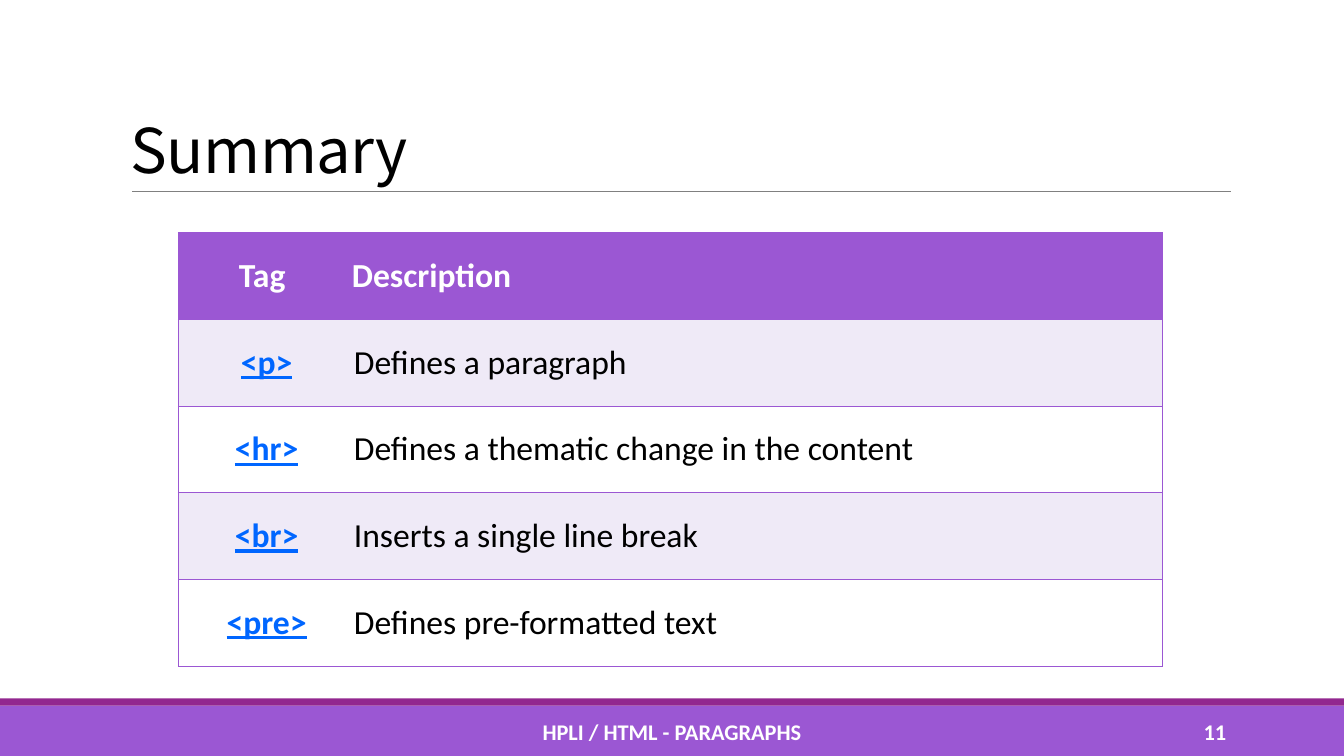
import pptx
import pptx.dml.color
import pptx.enum.shapes
import pptx.enum.text
import pptx.oxml.ns
import pptx.util
from lxml import etree

Inches, Pt = pptx.util.Inches, pptx.util.Pt
ALIGN = pptx.enum.text.PP_ALIGN
ANCHOR = pptx.enum.text.MSO_ANCHOR

TITLE = "Summary"
HEADER = ("Tag", "Description")
TAGS = [
    ("<p>", "Defines a paragraph"),
    ("<hr>", "Defines a thematic change in the content"),
    ("<br>", "Inserts a single line break"),
    ("<pre>", "Defines pre-formatted text"),
]
FOOTER = "HPLI / HTML - PARAGRAPHS"
PAGE = "11"

COLORS = {
    "purple": "9B57D3", "plum": "92278F", "lilac": "EFEAF7", "white": "FFFFFF",
    "black": "000000", "link": "0066FF", "gray": "808080",
}
BODY_FONT, TITLE_FONT = "Calibri", "Noto Sans CJK SC"
WIDTH, HEIGHT = 13.33, 7.5
BAR_HEIGHT, STRIPE_HEIGHT = 0.5, 0.07
TABLE_LEFT, TABLE_TOP = 1.77, 2.31
COLUMN_WIDTHS, ROW_HEIGHT = (1.66, 8.1), 0.86
HEADER_MARGINS = (0.06, 0.04, 0.06, 0.04)
TAG_MARGINS = (0.17, 0.08, 0.08, 0.08)
DESCRIPTION_MARGINS = (0.08,) * 4


def rgb(name):
    return pptx.dml.color.RGBColor.from_string(COLORS[name])


def write(frame, text, size, color, align=ALIGN.LEFT, font=BODY_FONT, bold=False):
    paragraph = frame.paragraphs[0]
    paragraph.text = text
    paragraph.alignment = align
    paragraph.font.name = font
    paragraph.font.size = Pt(size)
    paragraph.font.bold = bold
    paragraph.font.color.rgb = rgb(color)
    return paragraph


def add_text(slide, box, anchor, *args, **style):
    shape = slide.shapes.add_textbox(*map(Inches, box))
    shape.text_frame.word_wrap = True
    shape.text_frame.vertical_anchor = anchor
    return write(shape.text_frame, *args, **style)


def add_band(slide, top, height, color):
    band = slide.shapes.add_shape(
        pptx.enum.shapes.MSO_SHAPE.RECTANGLE,
        0, Inches(top), Inches(WIDTH), Inches(height))
    band.shadow.inherit = False
    band.fill.solid()
    band.fill.fore_color.rgb = rgb(color)
    band.line.fill.background()


def add_rule(slide, left, right, top):
    rule = slide.shapes.add_connector(
        pptx.enum.shapes.MSO_CONNECTOR.STRAIGHT,
        Inches(left), Inches(top), Inches(right), Inches(top))
    rule.line.color.rgb = rgb("gray")
    rule.line.width = Pt(0.5)
    etree.SubElement(rule._element.spPr, pptx.oxml.ns.qn("a:effectLst"))


def set_borders(cell, open_side):
    """Outline a cell on every side but the one facing the other column."""
    properties = cell._tc.get_or_add_tcPr()
    qn = pptx.oxml.ns.qn
    for side in "LRTB":
        line = etree.SubElement(properties, qn(f"a:ln{side}"), w=str(Pt(1)))
        if side == open_side:
            etree.SubElement(line, qn("a:noFill"))
        else:
            fill = etree.SubElement(line, qn("a:solidFill"))
            etree.SubElement(fill, qn("a:srgbClr"), val=COLORS["purple"])


def add_tag_table(slide):
    rows = [HEADER, *TAGS]
    table = slide.shapes.add_table(
        len(rows), len(HEADER), Inches(TABLE_LEFT), Inches(TABLE_TOP),
        Inches(sum(COLUMN_WIDTHS)), Inches(ROW_HEIGHT * len(rows))).table
    for column, width in zip(table.columns, COLUMN_WIDTHS):
        column.width = Inches(width)
    for r, texts in enumerate(rows):
        table.rows[r].height = Inches(ROW_HEIGHT)
        is_header = r == 0
        fill = "purple" if is_header else "lilac" if r % 2 else "white"
        for c, text in enumerate(texts):
            is_tag = c == 0
            cell = table.cell(r, c)
            set_borders(cell, "R" if is_tag else "L")
            cell.fill.solid()
            cell.fill.fore_color.rgb = rgb(fill)
            cell.vertical_anchor = ANCHOR.MIDDLE
            margins = (HEADER_MARGINS if is_header
                       else TAG_MARGINS if is_tag else DESCRIPTION_MARGINS)
            (cell.margin_left, cell.margin_top,
             cell.margin_right, cell.margin_bottom) = map(Inches, margins)
            color = "white" if is_header else "link" if is_tag else "black"
            paragraph = write(cell.text_frame, text, 24, color,
                              ALIGN.CENTER if is_tag else ALIGN.LEFT,
                              bold=is_header or is_tag)
            paragraph.font.underline = is_tag and not is_header


def main():
    presentation = pptx.Presentation()
    presentation.slide_width, presentation.slide_height = Inches(WIDTH), Inches(HEIGHT)
    slide = presentation.slides.add_slide(presentation.slide_layouts[6])

    bar_top = HEIGHT - BAR_HEIGHT
    add_band(slide, bar_top, BAR_HEIGHT, "purple")
    add_band(slide, bar_top - STRIPE_HEIGHT, STRIPE_HEIGHT, "plum")
    add_rule(slide, 1.31, 12.21, 1.9)

    title = add_text(slide, (1.2, 0.31, 11, 1.59), ANCHOR.BOTTOM,
                     TITLE, 44, "black", font=TITLE_FONT)
    title.line_spacing = 0.85
    run_properties = title.runs[0].font._element
    run_properties.set("spc", "-50")
    etree.SubElement(run_properties, pptx.oxml.ns.qn("a:ea"), typeface=TITLE_FONT)

    add_tag_table(slide)
    for text, left, width, align in [(FOOTER, 4.03, 5.27, ALIGN.CENTER),
                                     (PAGE, 10.83, 1.43, ALIGN.RIGHT)]:
        add_text(slide, (left, bar_top + 0.06, width, 0.4), ANCHOR.MIDDLE,
                 text, 16, "white", align, bold=True)
    presentation.save("out.pptx")


if __name__ == "__main__":
    main()
